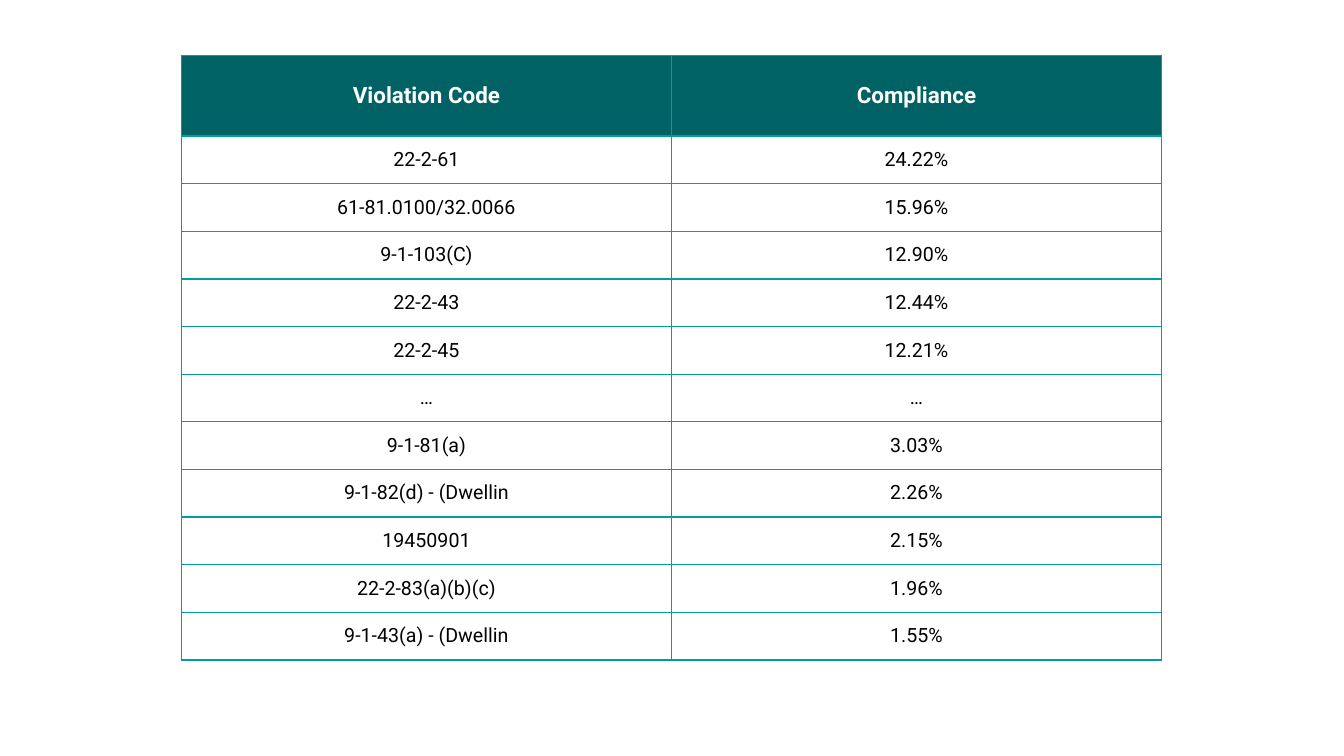
from pptx import Presentation
from pptx.dml.color import RGBColor
from pptx.enum import text
from pptx.oxml import parse_xml
from pptx.oxml.ns import nsdecls
from pptx.util import Inches, Pt

# Content
HEADER = ("Violation Code", "Compliance")
VIOLATIONS = [
    ("22-2-61", "24.22%"),
    ("61-81.0100/32.0066", "15.96%"),
    ("9-1-103(C)", "12.90%"),
    ("22-2-43", "12.44%"),
    ("22-2-45", "12.21%"),
    ("…", "…"),
    ("9-1-81(a)", "3.03%"),
    ("9-1-82(d) - (Dwellin", "2.26%"),
    ("19450901", "2.15%"),
    ("22-2-83(a)(b)(c)", "1.96%"),
    ("9-1-43(a) - (Dwellin", "1.55%"),
]

THEME = {
    "font": "Roboto",
    "header_size": 16,
    "body_size": 14,
    "header_fill": "006264",
    "header_text": "FFFFFF",
    "body_text": "000000",
    "border": "009EA2",
    "border_width": 1,
}

# Table geometry in inches
LEFT, TOP, WIDTH, HEIGHT = 1.8, 0.55, 9.72, 6
HEADER_HEIGHT = 0.8
PAD_X, PAD_Y = 0.04, 0.02


def add_borders(cell):
    tc_pr = cell._tc.get_or_add_tcPr()
    for side in ("lnL", "lnR", "lnT", "lnB"):
        tc_pr.append(parse_xml(
            f'<a:{side} {nsdecls("a")} w="{Pt(THEME["border_width"])}">'
            f'<a:solidFill><a:srgbClr val="{THEME["border"]}"/></a:solidFill>'
            f'</a:{side}>'))


def format_cell(cell, value, is_header):
    role = "header" if is_header else "body"
    add_borders(cell)
    if is_header:
        cell.fill.solid()
        cell.fill.fore_color.rgb = RGBColor.from_string(THEME["header_fill"])
    else:
        cell.fill.background()
    cell.margin_left = cell.margin_right = Inches(PAD_X)
    cell.margin_top = cell.margin_bottom = Inches(PAD_Y)
    cell.vertical_anchor = text.MSO_ANCHOR.MIDDLE

    p = cell.text_frame.paragraphs[0]
    p.text = value
    p.alignment = text.PP_ALIGN.CENTER
    font = p.runs[0].font
    font.name = THEME["font"]
    font.size = Pt(THEME[f"{role}_size"])
    font.bold = is_header
    font.color.rgb = RGBColor.from_string(THEME[f"{role}_text"])


def main():
    prs = Presentation()
    prs.slide_width, prs.slide_height = Inches(13.33), Inches(7.5)
    s = prs.slides.add_slide(prs.slide_layouts[6])

    # Compliance table
    rows = [HEADER, *VIOLATIONS]
    table = s.shapes.add_table(
        len(rows), len(HEADER),
        Inches(LEFT), Inches(TOP), Inches(WIDTH), Inches(HEIGHT)).table
    table.horz_banding = False
    for column in table.columns:
        column.width = Inches(WIDTH / len(HEADER))

    # Rows and cells
    body_height = (HEIGHT - HEADER_HEIGHT) / len(VIOLATIONS)
    for i, row in enumerate(rows):
        table.rows[i].height = Inches(body_height if i else HEADER_HEIGHT)
        for j, value in enumerate(row):
            format_cell(table.cell(i, j), value, is_header=i == 0)

    prs.save("out.pptx")


if __name__ == "__main__":
    main()
